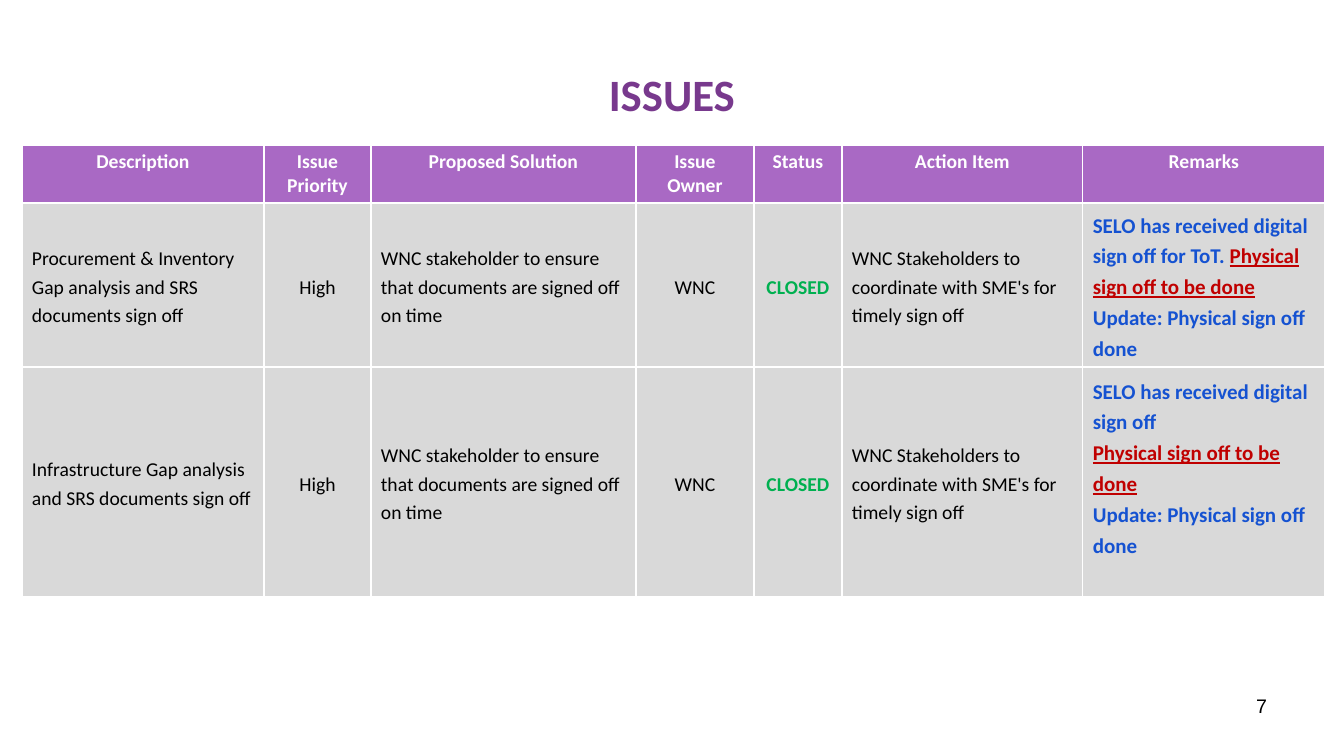
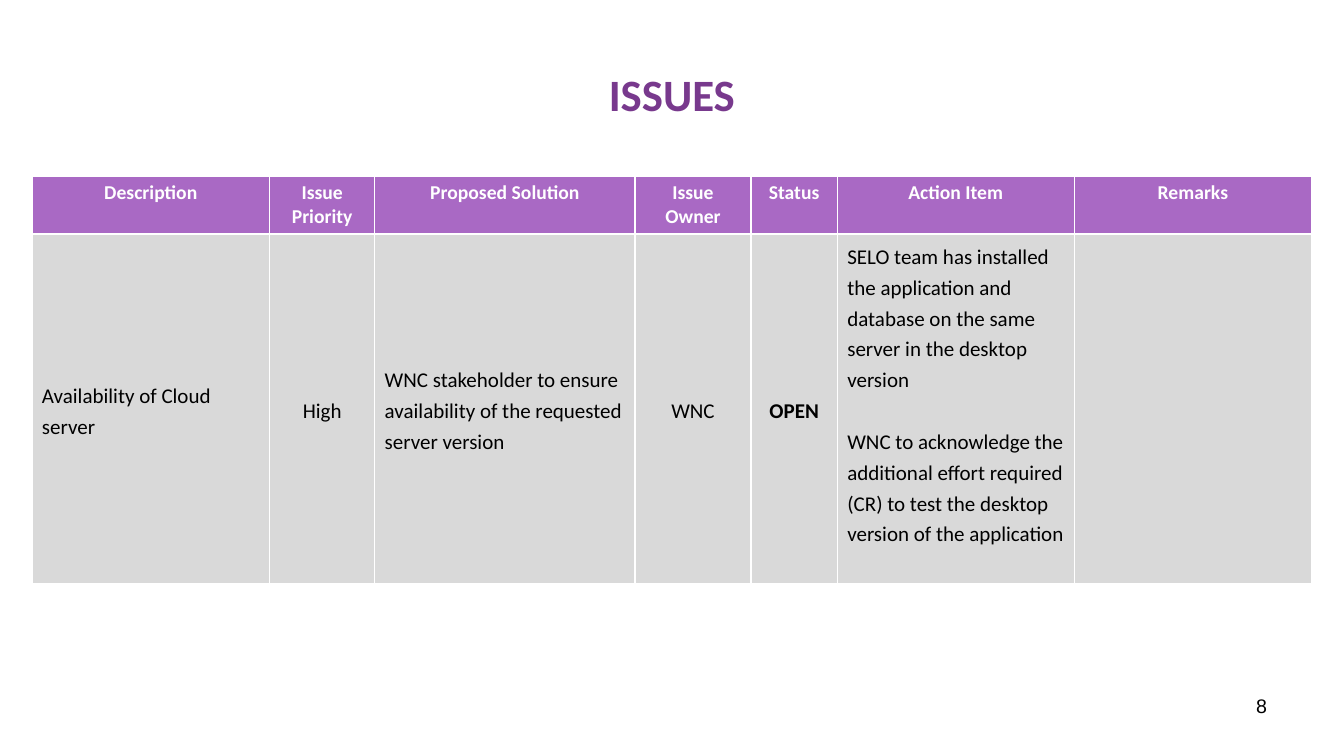
from dataclasses import dataclass

import lxml.etree
import pptx
import pptx.dml.color
import pptx.enum.text
import pptx.oxml.ns
import pptx.util

ALIGN = pptx.enum.text.PP_ALIGN
ANCHOR = pptx.enum.text.MSO_ANCHOR


@dataclass(frozen=True)
class Theme:
    title: str = "78398D"
    head: str = "A969C4"
    body: str = "D9D9D9"
    white: str = "FFFFFF"
    black: str = "000000"
    green: str = "00B050"
    blue: str = "1552D1"
    red: str = "C00000"
    font: str = "Calibri"
    page_font: str = "Arial"
    title_pt: int = 32
    text_pt: int = 14
    large_pt: int = 15
    rule_pt: int = 1
    space: float = 1.2


THEME = Theme()


@dataclass(frozen=True)
class Bit:
    text: str
    size: int = THEME.text_pt
    color: str = THEME.black
    bold: bool = False
    under: bool = False
    font: str = THEME.font


@dataclass(frozen=True)
class Cell:
    paras: list[list[Bit]]
    center: bool = False
    gap: int = 0  # points between paragraphs
    lift: int = 0  # extra bottom margin in px


@dataclass(frozen=True)
class Row:
    height: int
    cells: list[Cell]


@dataclass(frozen=True)
class Page:
    number: int
    left: int
    top: int
    width: int
    rows: list[Row]


HEADS = ["Description", "Issue Priority", "Proposed Solution", "Issue Owner",
         "Status", "Action Item", "Remarks"]
COLS = [242, 107, 265, 118, 88, 241, 242]
HEAD_H = 58
LINE_H = 31
PAD_X, PAD_Y = 10, 5


def px(size: float) -> int:
    """Turn px, 1344 to the slide width, into EMU."""
    return round(size * 9144000 / 1008)


def rgb(code: str) -> pptx.dml.color.RGBColor:
    return pptx.dml.color.RGBColor.from_string(code)


def write(frame, paras: list[list[Bit]], align, space: float = 1, gap: int = 0) -> None:
    for i, bits in enumerate(paras):
        para = frame.paragraphs[0] if i == 0 else frame.add_paragraph()
        para.alignment = align
        para.line_spacing = space
        if i and gap:
            para.space_before = pptx.util.Pt(gap)
        for bit in bits:
            run = para.add_run()
            run.text = bit.text
            run.font.name = bit.font
            run.font.size = pptx.util.Pt(bit.size)
            run.font.bold = bit.bold
            run.font.underline = bit.under
            run.font.color.rgb = rgb(bit.color)


def label(slide, box: tuple[int, int, int, int], bit: Bit, align, anchor) -> None:
    frame = slide.shapes.add_textbox(*map(px, box)).text_frame
    frame.word_wrap = True
    frame.vertical_anchor = anchor
    write(frame, [[bit]], align)


def edge(cell) -> None:
    """Rule all four sides of a table cell."""
    name = pptx.oxml.ns.qn
    props = cell._tc.get_or_add_tcPr()
    for side in ("a:lnL", "a:lnR", "a:lnT", "a:lnB"):
        line = lxml.etree.SubElement(props, name(side), w=str(pptx.util.Pt(THEME.rule_pt)))
        fill = lxml.etree.SubElement(line, name("a:solidFill"))
        lxml.etree.SubElement(fill, name("a:srgbClr"), val=THEME.white)


def draw_cell(cell, data: Cell, head: bool) -> None:
    edge(cell)
    cell.fill.solid()
    cell.fill.fore_color.rgb = rgb(THEME.head if head else THEME.body)
    cell.margin_left = cell.margin_right = px(PAD_X)
    cell.margin_top = px(PAD_Y)
    cell.margin_bottom = px(PAD_Y + data.lift)
    cell.vertical_anchor = ANCHOR.TOP if head else ANCHOR.MIDDLE
    write(cell.text_frame, data.paras, ALIGN.CENTER if data.center else ALIGN.LEFT,
          1 if head else THEME.space, data.gap)


def draw_table(slide, page: Page) -> None:
    head = Row(HEAD_H, [Cell([[Bit(text, color=THEME.white, bold=True)]], True)
                        for text in HEADS])
    rows = [head, *page.rows]
    height = sum(row.height for row in rows)
    table = slide.shapes.add_table(
        len(rows), len(COLS), px(page.left), px(page.top), px(page.width), px(height)).table
    table.first_row = table.horz_banding = False
    for col, width in zip(table.columns, COLS):
        col.width = px(width * page.width / sum(COLS))
    for r, row in enumerate(rows):
        table.rows[r].height = px(row.height)
        for c, data in enumerate(row.cells):
            draw_cell(table.cell(r, c), data, r == 0)


def draw_page(deck, page: Page) -> None:
    slide = deck.slides.add_slide(deck.slide_layouts[6])
    label(slide, (67, 31, 1210, 126),
          Bit("ISSUES", THEME.title_pt, THEME.title, True), ALIGN.CENTER, ANCHOR.MIDDLE)
    label(slide, (964, 689, 313, 52),
          Bit(str(page.number), font=THEME.page_font), ALIGN.RIGHT, ANCHOR.TOP)
    draw_table(slide, page)


def issue(height: int, size: int, about: str, fix: str, state: Bit,
          act: Cell, note: Cell) -> Row:
    def plain(text: str, center: bool = False) -> Cell:
        return Cell([[Bit(text, size)]], center)

    return Row(height, [plain(about), plain("High", True), plain(fix),
                        plain("WNC", True), Cell([[state]], True), act, note])


def signed(height: int, about: str, note: Cell) -> Row:
    """Make the row of a closed sign-off issue."""
    return issue(height, THEME.text_pt, about,
                 "WNC stakeholder to ensure that documents are signed off on time",
                 Bit("CLOSED", color=THEME.green, bold=True),
                 Cell([[Bit("WNC Stakeholders to coordinate with SME's for timely sign off")]]),
                 note)


def blue(text: str) -> Bit:
    return Bit(text, THEME.large_pt, THEME.blue, True)


TODO = Bit("Physical sign off to be done", THEME.large_pt, THEME.red, True, True)
DONE = blue("Update: Physical sign off done")
LARGE = THEME.large_pt

PAGES = [
    Page(7, 22, 145, 1303, [
        signed(164, "Procurement & Inventory Gap analysis and SRS documents sign off",
               Cell([[blue("SELO has received digital sign off for ToT. "), TODO], [DONE]])),
        signed(230, "Infrastructure Gap analysis and SRS documents sign off",
               Cell([[blue("SELO has received digital sign off")], [TODO], [DONE]],
                    lift=LINE_H)),
    ]),
    Page(8, 32, 176, 1280, [
        issue(350, LARGE, "Availability of Cloud server",
              "WNC stakeholder to ensure availability of the requested server version",
              Bit("OPEN", LARGE, bold=True),
              Cell([[Bit("SELO team has installed the application and database on the "
                         "same server in the desktop version", LARGE)],
                    [Bit("WNC to acknowledge the additional effort required (CR) to test "
                         "the desktop version of the application", LARGE)]],
                   gap=22, lift=LINE_H),
              Cell([])),
    ]),
]


def main() -> None:
    deck = pptx.Presentation()
    deck.slide_width, deck.slide_height = px(1344), px(756)
    for page in PAGES:
        draw_page(deck, page)
    deck.save("out.pptx")


if __name__ == "__main__":
    main()
